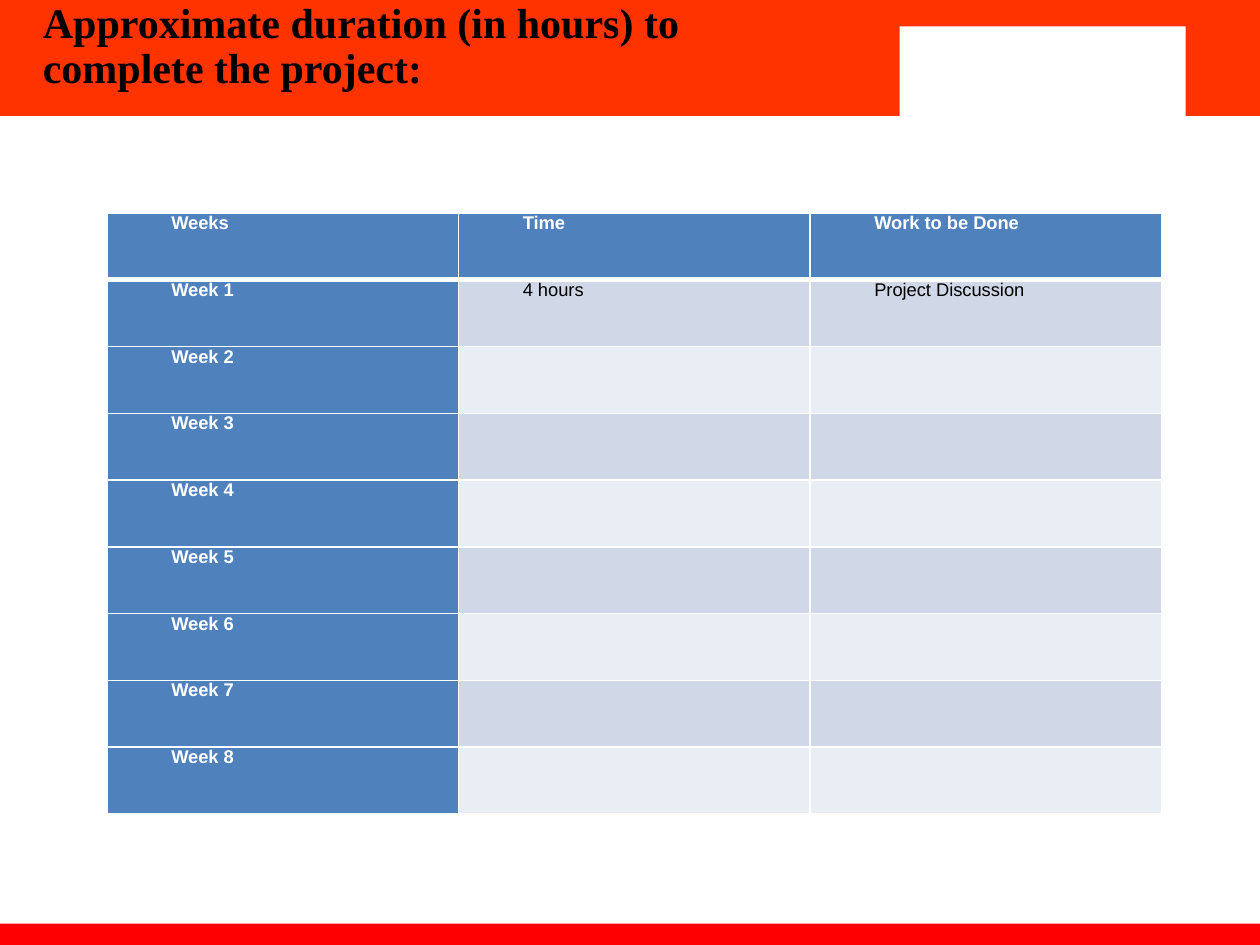
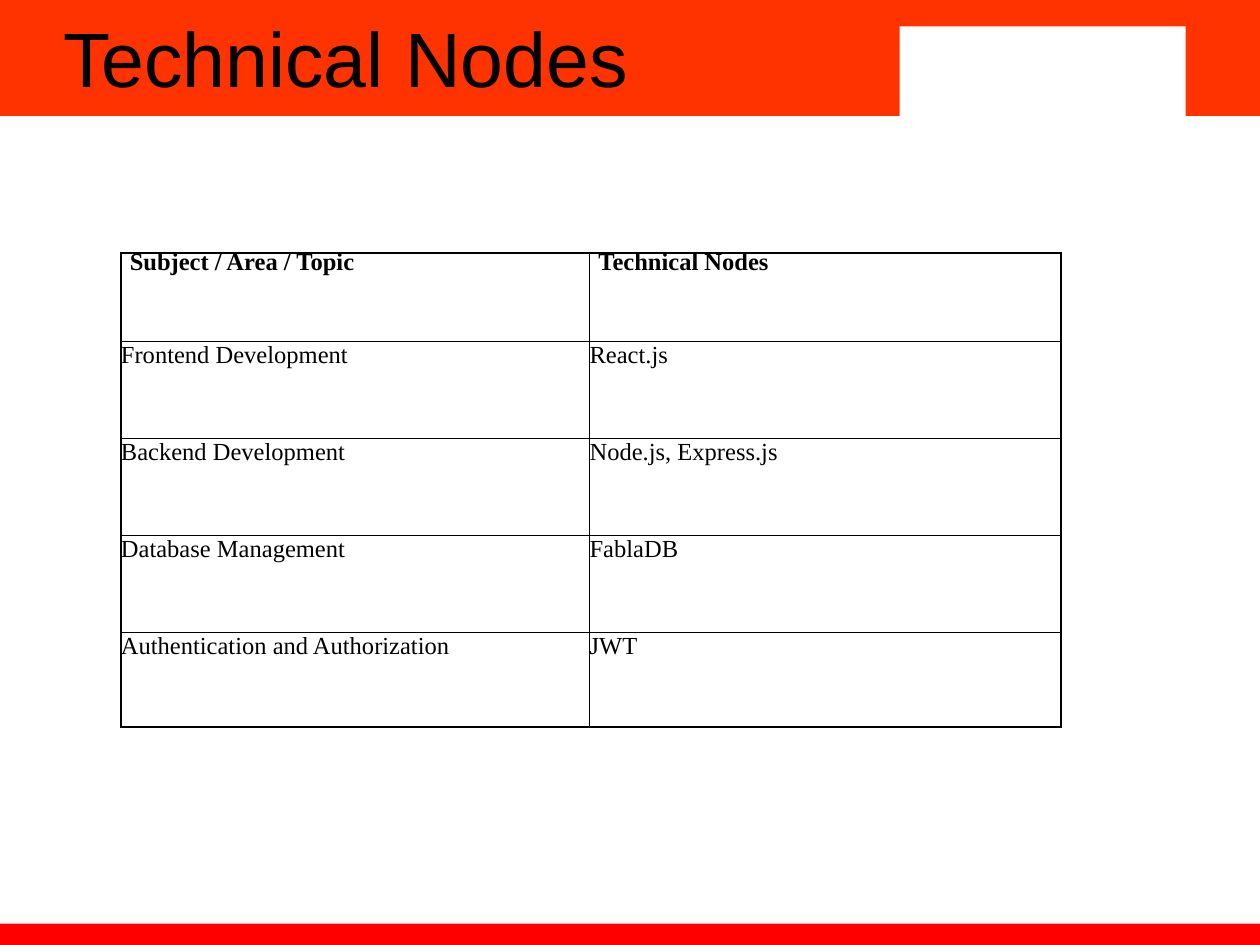
"""Build two project slides that share a banded layout, each with a title and a table."""
import pptx
import pptx.util
import pptx.dml.color
import pptx.enum.shapes
import pptx.enum.text
import pptx.oxml
import pptx.oxml.ns

INCH, PT = pptx.util.Inches, pptx.util.Pt
WIDE, HIGH = 10, 7.5
HUES = {
    "band": "FF3300", "foot": "FF0000", "white": "FFFFFF", "black": "000000",
    "head": "4F81BD", "odd": "D0D8E8", "even": "E9EDF4", "grid": "000001",
}
BANDS = [
    ((0, 0, WIDE, 0.92), "band"),
    ((0, 7.33, WIDE, HIGH - 7.33), "foot"),
    ((6.72, 0, WIDE - 6.72, 0.92), "band"),
    ((7.14, 0.21, 2.27, 0.75), "white"),
]
PLAN_TITLE = "Approximate duration (in hours) to complete the project:"
PLAN = [("Weeks", "Time", "Work to be Done"), ("Week 1", "4 hours", "Project Discussion")]
PLAN += [(f"Week {week}", "", "") for week in range(2, 9)]
NODE_TITLE = "Technical Nodes"
NODES = [
    ("Subject / Area / Topic", "Technical Nodes"),
    ("Frontend Development", "React.js"),
    ("Backend Development", "Node.js, Express.js"),
    ("Database Management", "FablaDB"),
    ("Authentication and Authorization", "JWT"),
]


def tint(name):
    return pptx.dml.color.RGBColor.from_string(HUES[name])


def write(frame, text, size, font, hue="black", bold=False, left=0, first=0, before=0, line=None):
    """Put one formatted paragraph in a text frame."""
    para = frame.paragraphs[0]
    para.alignment = pptx.enum.text.PP_ALIGN.LEFT
    para.space_before = PT(before)
    para.line_spacing = line
    props = para._p.get_or_add_pPr()
    props.set("marL", str(INCH(left)))
    props.set("indent", str(INCH(first)))
    run = para.add_run()
    run.text = text
    run.font.size, run.font.name, run.font.bold = PT(size), font, bold
    run.font.color.rgb = tint(hue)


def edge(cell, hue, widths):
    """Draw the left, right, top and bottom borders of a cell."""
    props = cell._tc.get_or_add_tcPr()
    for spot, (side, width) in enumerate(zip("LRTB", widths)):
        props.insert(spot, pptx.oxml.parse_xml(
            f'<a:ln{side} {pptx.oxml.ns.nsdecls("a")} w="{PT(width)}"><a:solidFill>'
            f'<a:srgbClr val="{HUES[hue]}"/></a:solidFill></a:ln{side}>'))


def add_bands(slide, layout):
    """Draw the bands and place them at the back of the layout."""
    for spot, (box, hue) in enumerate(BANDS):
        band = slide.shapes.add_shape(
            pptx.enum.shapes.MSO_SHAPE.RECTANGLE, *map(INCH, box))
        band.shadow.inherit = False
        band.fill.solid()
        band.fill.fore_color.rgb = tint(hue)
        band.line.fill.background()
        layout.shapes.element.insert(2 + spot, band.element)


def add_title(slide, text, box, left=0, low=0, **style):
    """Place the title, with insets at the left and bottom."""
    title = slide.shapes.title
    title.left, title.top, title.width, title.height = map(INCH, box)
    frame = title.text_frame
    frame.word_wrap = True
    frame.auto_size = pptx.enum.text.MSO_AUTO_SIZE.NONE
    frame.vertical_anchor = pptx.enum.text.MSO_ANCHOR.MIDDLE
    frame.margin_left, frame.margin_bottom = INCH(left), INCH(low)
    frame.margin_top = frame.margin_right = 0
    write(frame, text, line=0.9, **style)


def add_grid(slide, data, spot, cols, rows, side, dress):
    """Add a table; dress gives fill, border and text style for a row and column."""
    grid = slide.shapes.add_table(
        len(rows), len(cols), *map(INCH, (*spot, sum(cols), sum(rows)))).table
    grid.first_row = grid.horz_banding = False
    for col, width in zip(grid.columns, cols):
        col.width = INCH(width)
    for row, height in zip(grid.rows, rows):
        row.height = INCH(height)
    for r, line in enumerate(data):
        for c, text in enumerate(line):
            cell = grid.cell(r, c)
            fill, hue, widths, style = dress(r, c)
            cell.margin_left = cell.margin_right = INCH(side)
            cell.margin_top = cell.margin_bottom = 0
            if fill:
                cell.fill.solid()
                cell.fill.fore_color.rgb = tint(fill)
            else:
                cell.fill.background()
            edge(cell, hue, widths)
            if text:
                write(cell.text_frame, text, **style)


def dress_plan(r, c):
    head = r == 0 or c == 0
    fill = "head" if head else "odd" if r % 2 else "even"
    widths = (1, 1, 3 if r == 1 else 1, 3 if r == 0 else 1)
    return fill, "white", widths, dict(
        size=10.5, font="Arial", hue="white" if head else "black", bold=head,
        left=0.68, first=-0.24, before=2.1)


def dress_nodes(r, c):
    style = dict(size=14, font="Times New Roman")
    if r == 0:
        style.update(bold=True, left=0.07, line=PT(13.1))
    return None, "grid", (1, 1, 1, 1), style


def main():
    deck = pptx.Presentation()
    deck.slide_width, deck.slide_height = INCH(WIDE), INCH(HIGH)
    layout = deck.slide_layouts[5]
    plan, nodes = (deck.slides.add_slide(layout) for _ in range(2))
    add_bands(plan, layout)
    add_title(plan, PLAN_TITLE, (0.34, 0.29, 5.66, 0.53), low=0.36,
              size=24, font="Times New Roman", bold=True)
    add_grid(plan, PLAN, (0.85, 1.69), [2.79] * 3, [0.53] * len(PLAN), 0.07, dress_plan)
    add_title(nodes, NODE_TITLE, (0, 0, 6, 1), left=0.5, size=44, font="Arial")
    add_grid(nodes, NODES, (0.96, 2.01), [3.72, 3.74], [0.7, 0.77, 0.77, 0.77, 0.75],
             0, dress_nodes)
    deck.save("out.pptx")


if __name__ == "__main__":
    main()
